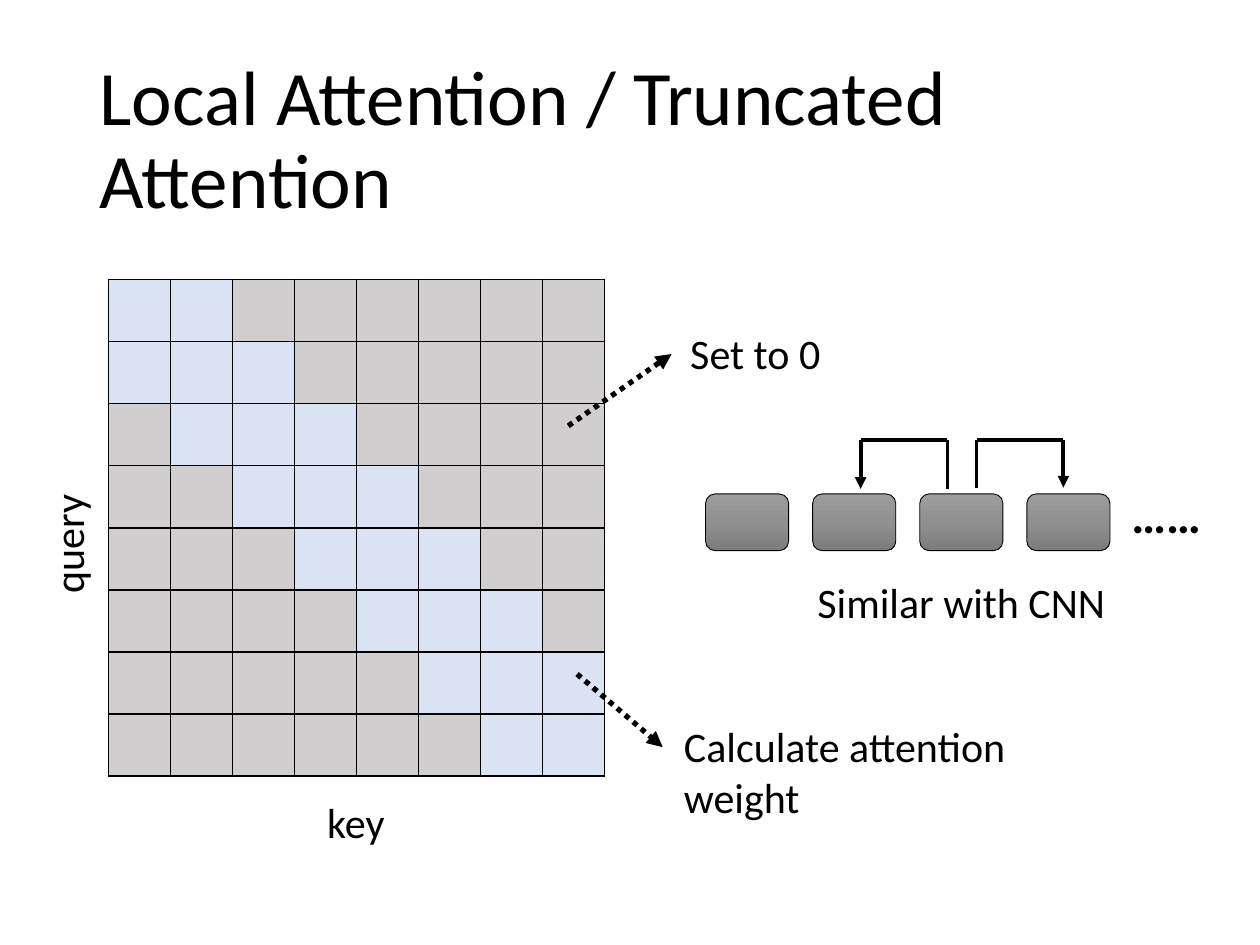
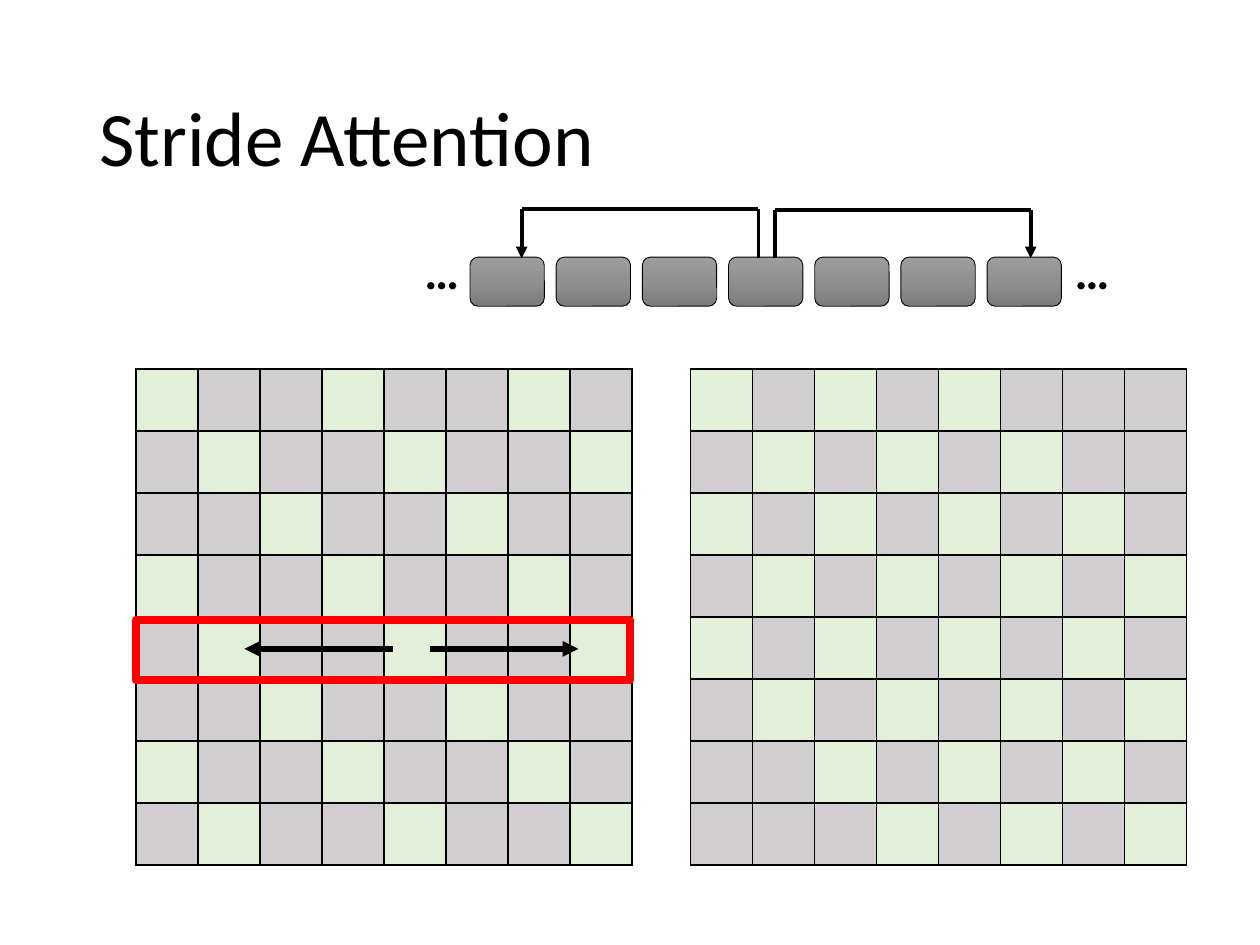
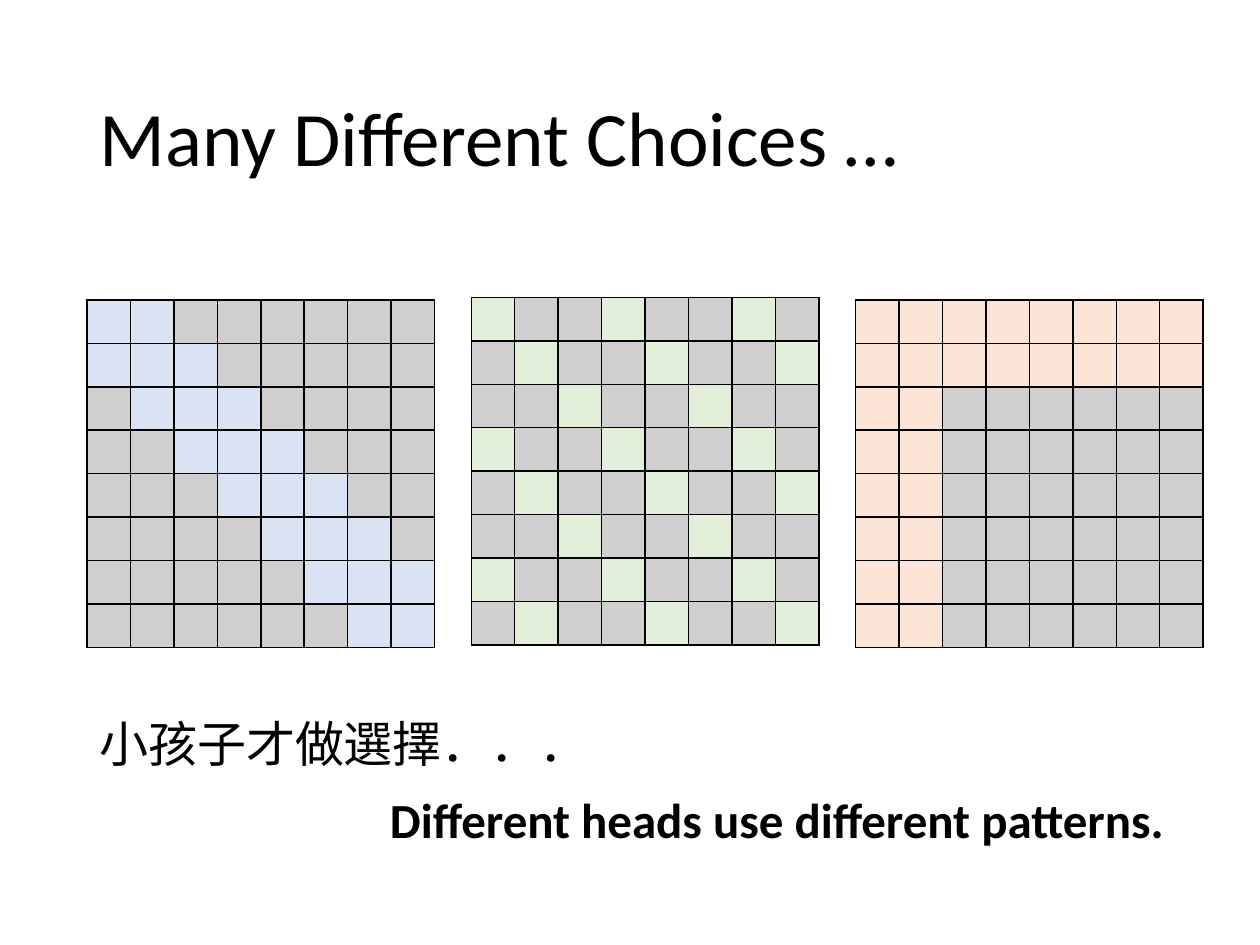
from copy import deepcopy
from dataclasses import dataclass

from lxml.etree import SubElement
from pptx import Presentation
from pptx.dml.color import RGBColor
from pptx.enum.dml import MSO_LINE
from pptx.enum.shapes import MSO_CONNECTOR, MSO_SHAPE
from pptx.enum.text import MSO_ANCHOR, MSO_AUTO_SIZE, PP_ALIGN
from pptx.oxml.ns import qn
from pptx.util import Inches, Pt


@dataclass(frozen=True)
class Theme:
    """Colours, fonts and type sizes of the deck."""

    ink: str = "000000"
    masked: str = "D0CECE"
    local: str = "DAE3F3"
    stride: str = "E2F0D9"
    everywhere: str = "FBE5D6"
    highlight: str = "FF0000"
    token: tuple = ("9D9D9D", "909090", "7C7C7C")
    font: str = "Calibri"
    chinese_font: str = "Noto Sans CJK SC"
    title_size: int = 44
    remark_size: int = 28
    label_size: int = 24


THEME = Theme()
COLUMNS, ROWS = 100, 75
POSITIONS = 8


def near_diagonal(query, key):
    """Tell whether the key is a direct neighbour of the query."""
    return abs(query - key) <= 1


def every_third(query, key):
    """Tell whether the key lies a multiple of three away."""
    return (query - key) % 3 == 0


def every_second(query, key):
    """Tell whether the key lies zero, two or four away."""
    return abs(query - key) in (0, 2, 4)


def first_two(query, key):
    """Tell whether the query or the key is one of the first two tokens."""
    return min(query, key) < 2


class Deck:
    """Draws elements on the current slide, in columns and rows of its grid."""

    def __init__(self, theme):
        """Open an empty deck of 10 by 7.5 inches."""
        self.theme = theme
        self.presentation = Presentation()
        self.presentation.slide_width = Inches(10)
        self.presentation.slide_height = Inches(7.5)
        self.column = self.presentation.slide_width / COLUMNS
        self.row = self.presentation.slide_height / ROWS
        self.shapes = None

    def place(self, *lengths):
        """Turn alternating column and row counts into slide lengths."""
        units = (self.column, self.row) * 2
        return [round(length * unit) for length, unit in zip(lengths, units)]

    def slide(self, title):
        """Start a slide and write its title."""
        layout = self.presentation.slide_layouts[6]
        self.shapes = self.presentation.slides.add_slide(layout).shapes
        heading = self.text(title, 6.9, 4, 86.2, 14.5, self.theme.title_size)
        heading.text_frame.auto_size = MSO_AUTO_SIZE.NONE
        heading.text_frame.vertical_anchor = MSO_ANCHOR.MIDDLE
        heading.text_frame.paragraphs[0].line_spacing = 0.9

    def text(self, words, left, top, width, height, size=None, bold=False,
             align=PP_ALIGN.LEFT, font=None, rotation=0):
        """Write a wrapped line of text."""
        box = self.shapes.add_textbox(*self.place(left, top, width, height))
        box.rotation = rotation
        box.text_frame.word_wrap = True
        box.text_frame.auto_size = MSO_AUTO_SIZE.SHAPE_TO_FIT_TEXT
        paragraph = box.text_frame.paragraphs[0]
        paragraph.text = words
        paragraph.alignment = align
        paragraph.font.name = font or self.theme.font
        paragraph.font.size = Pt(size or self.theme.label_size)
        paragraph.font.bold = bold
        paragraph.font.color.rgb = RGBColor.from_string(self.theme.ink)
        if font:
            properties = paragraph._p.pPr.find(qn("a:defRPr"))
            SubElement(properties, qn("a:ea")).set("typeface", font)
        return box

    def attention(self, attends, color, left, top, side):
        """Draw the query by key matrix and colour the attended cells."""
        frame = self.shapes.add_table(
            POSITIONS, POSITIONS, *self.place(left, top, side, side))
        matrix = frame.table
        matrix.first_row = matrix.horz_banding = False
        for query in range(POSITIONS):
            for key in range(POSITIONS):
                cell = matrix.cell(query, key)
                cell.margin_left = cell.margin_right = 0
                cell.margin_top = cell.margin_bottom = 0
                self.borders(cell)
                cell.fill.solid()
                cell.fill.fore_color.rgb = RGBColor.from_string(
                    color if attends(query, key) else self.theme.masked)

    def borders(self, cell):
        """Rule all four sides of a cell."""
        properties = cell._tc.get_or_add_tcPr()
        for side in ("a:lnL", "a:lnR", "a:lnT", "a:lnB"):
            edge = SubElement(properties, qn(side), w=str(Pt(1)))
            paint = SubElement(edge, qn("a:solidFill"))
            SubElement(paint, qn("a:srgbClr"), val=self.theme.ink)

    def outlined(self, kind, left, top, width, height, color, weight):
        """Add a preset shape with a plain outline."""
        shape = self.shapes.add_shape(
            kind, *self.place(left, top, width, height))
        shape.shadow.inherit = False
        shape.line.color.rgb = RGBColor.from_string(color)
        shape.line.width = Pt(weight)
        return shape

    def tokens(self, count, left, top, width, height, step):
        """Draw a row of evenly spaced token boxes."""
        for index in range(count):
            token = self.outlined(MSO_SHAPE.ROUNDED_RECTANGLE,
                                  left + index * step, top, width, height,
                                  self.theme.ink, 0.5)
            token.fill.gradient()
            token.fill.gradient_angle = 270
            stops = token._element.spPr.find(f".//{qn('a:gsLst')}")
            stops.insert(1, deepcopy(stops[0]))
            shades = zip(token.fill.gradient_stops, (0, 0.5, 1), self.theme.token)
            for stop, position, shade in shades:
                stop.position = position
                stop.color.rgb = RGBColor.from_string(shade)

    def frame(self, left, top, width, height):
        """Draw an unfilled highlight frame."""
        frame = self.outlined(MSO_SHAPE.RECTANGLE, left, top, width, height,
                              self.theme.highlight, 4.5)
        frame.fill.background()

    def line(self, start, end, weight=3, arrow=True, dotted=False):
        """Draw a straight line, with an arrowhead at its end if wanted."""
        line = self.shapes.add_connector(
            MSO_CONNECTOR.STRAIGHT, *self.place(*start, *end))
        line.line.color.rgb = RGBColor.from_string(self.theme.ink)
        line.line.width = Pt(weight)
        if dotted:
            line.line.dash_style = MSO_LINE.ROUND_DOT
        if arrow:
            SubElement(line.line._get_or_add_ln(), qn("a:tailEnd"),
                       type="triangle")
        SubElement(line._element.spPr, qn("a:effectLst"))

    def bracket(self, source, target, top, bottom):
        """Draw a square arrow from one token over to another."""
        self.line((source, bottom), (source, top), 2.25, arrow=False)
        self.line((source, top), (target, top), 2.25, arrow=False)
        self.line((target, top), (target, bottom), 2.25)


def local_attention(deck):
    """Build the slide on local attention."""
    deck.slide("Local Attention / Truncated Attention")
    deck.attention(near_diagonal, THEME.local, 8.6, 22.2, 39.4)
    deck.line((45.1, 33.8), (53.3, 28.1), dotted=True)
    deck.line((45.8, 53.5), (52.6, 59.3), dotted=True)
    deck.text("Calculate attention weight", 53.3, 56.7, 27.7, 9.1)
    deck.text("Set to 0", 53.8, 25.5, 27.7, 5)
    deck.tokens(4, 56, 39.2, 6.6, 4.5, step=8.5)
    deck.text("……", 88.8, 38, 8.8, 5.7, THEME.remark_size, bold=True)
    deck.bracket(75.2, 68.3, 34.9, 38.8)
    deck.bracket(77.5, 84.4, 34.9, 38.7)
    centre = PP_ALIGN.CENTER
    deck.text("Similar with CNN", 63.6, 45.3, 25.4, 5, align=centre)
    deck.text("key", 17.1, 62.7, 22.3, 5, align=centre)
    deck.text("query", -5.8, 40.7, 22.3, 5, align=centre, rotation=270)


def stride_attention(deck):
    """Build the slide on stride attention."""
    deck.slide("Stride Attention")
    deck.attention(every_second, THEME.stride, 54.8, 29.3, 39.4)
    deck.attention(every_third, THEME.stride, 10.8, 29.3, 39.4)
    deck.tokens(7, 37.3, 20.4, 5.9, 3.9, step=6.84)
    for left in (32.7, 84.3):
        deck.text("…", left, 18.6, 8.8, 5.7, THEME.remark_size, bold=True)
    deck.bracket(60.2, 41.4, 16.6, 20.5)
    deck.bracket(61.5, 81.8, 16.7, 20.5)
    deck.frame(10.8, 49.2, 39.2, 4.8)
    deck.line((31.2, 51.5), (19.4, 51.5))
    deck.line((34.1, 51.5), (45.9, 51.5))


def many_choices(deck):
    """Build the slide that sets the patterns side by side."""
    deck.slide("Many Different Choices …")
    choices = ((near_diagonal, THEME.local, 23.8),
               (every_third, THEME.stride, 23.6),
               (first_two, THEME.everywhere, 23.8))
    for index, (attends, color, top) in enumerate(choices):
        deck.attention(attends, color, 6.9 + index * 30.5, top, 27.6)
    deck.text("Different heads use different patterns.", 27.9, 62.2, 67.5, 5.7,
              THEME.remark_size, bold=True, align=PP_ALIGN.CENTER)
    deck.text("小孩子才做選擇．．．", 6.9, 56.1, 50.4, 5.7,
              THEME.remark_size, font=THEME.chinese_font)


def main():
    """Build and save the deck."""
    deck = Deck(THEME)
    for build in (local_attention, stride_attention, many_choices):
        build(deck)
    deck.presentation.save("out.pptx")


if __name__ == "__main__":
    main()
